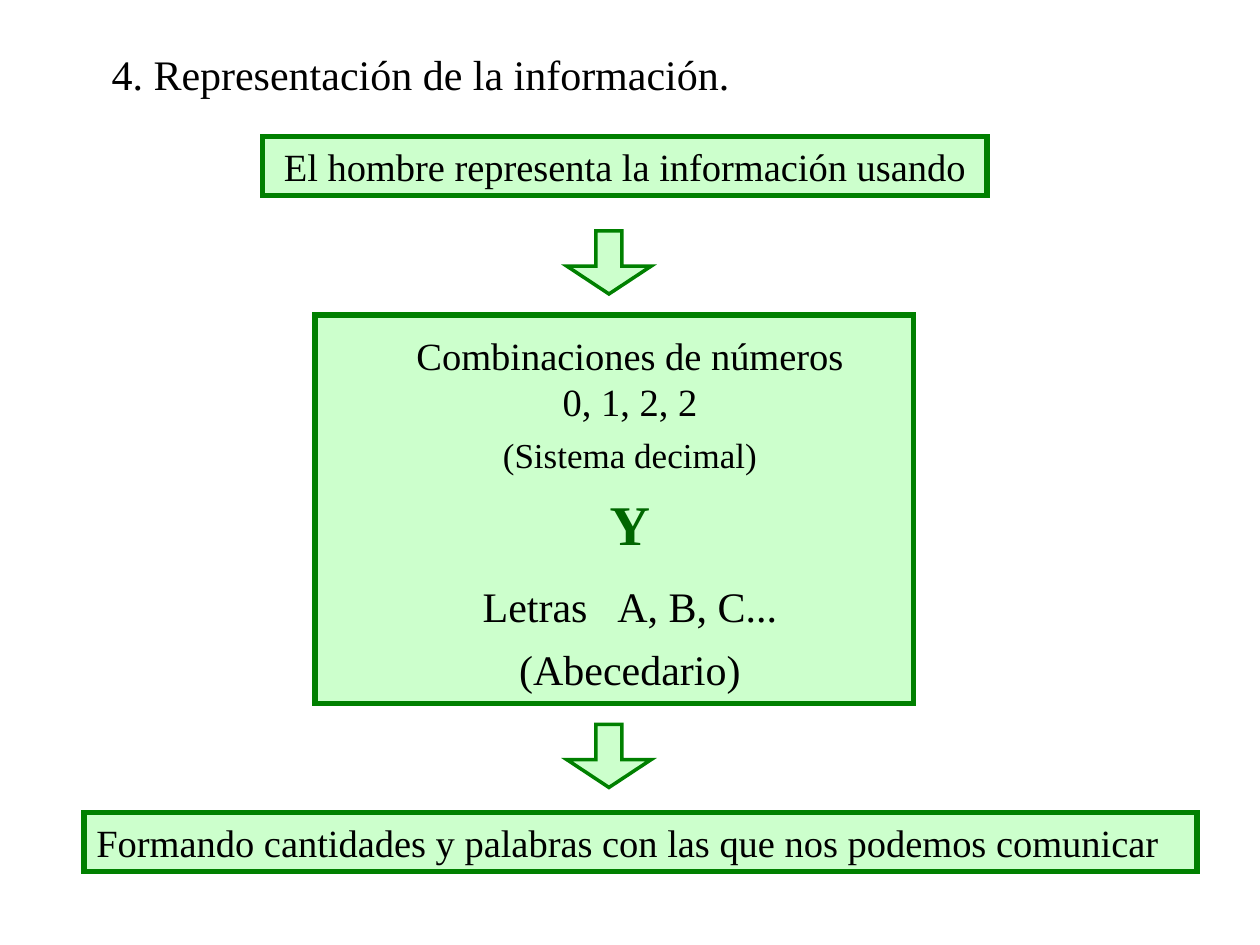
from lxml.etree import SubElement
from pptx import Presentation
from pptx.dml.color import RGBColor
from pptx.enum.shapes import MSO_SHAPE
from pptx.enum.text import MSO_ANCHOR, MSO_AUTO_SIZE, PP_ALIGN
from pptx.oxml.ns import qn
from pptx.util import Pt

COLORS = {"ink": "000000", "mint": "CCFFCC", "edge": "008000", "deep": "006600"}
FONT = "Times New Roman"
WIDE, HIGH = 720, 540


def color(name):
    return RGBColor.from_string(COLORS[name])


def write(shape, text, size=22, tint="ink", bold=False, align=PP_ALIGN.CENTER,
          gap=0):
    frame = shape.text_frame
    frame.word_wrap = True
    frame.auto_size = MSO_AUTO_SIZE.SHAPE_TO_FIT_TEXT
    frame.vertical_anchor = MSO_ANCHOR.TOP
    for i, line in enumerate(text.split("\n")):
        para = frame.add_paragraph() if i else frame.paragraphs[0]
        para.alignment = align
        for part in line.partition(" ") if gap else [line]:
            run = para.add_run()
            run.text = part
            run.font.name = FONT
            run.font.size = Pt(size)
            run.font.bold = bold
            run.font.color.rgb = color(tint)
            if part == " ":
                run.font._element.set("spc", str(gap * 100))


def label(slide, text, left, top, width, height, **style):
    box = slide.shapes.add_textbox(Pt(left), Pt(top), Pt(width), Pt(height))
    write(box, text, **style)


def block(slide, kind, left, top, width, height, line=3):
    shape = slide.shapes.add_shape(kind, Pt(left), Pt(top), Pt(width), Pt(height))
    shape.shadow.inherit = False
    shape.fill.solid()
    shape.fill.fore_color.rgb = color("mint")
    shape.line.color.rgb = color("edge")
    shape.line.width = Pt(line)
    SubElement(shape.line._get_or_add_ln(), qn("a:miter"), lim="800000")
    return shape


def arrow(slide, top):
    shape = block(slide, MSO_SHAPE.DOWN_ARROW, 324, top, 48, 36, line=2)
    shape.adjustments[0] = 0.31
    shape.adjustments[1] = 0.44


def main():
    deck = Presentation()
    deck.slide_width, deck.slide_height = Pt(WIDE), Pt(HIGH)
    slide = deck.slides.add_slide(deck.slide_layouts[6])
    rect = MSO_SHAPE.RECTANGLE

    block(slide, rect, 180, 180, 342, 222)
    label(slide, "4. Representación de la información.", 56.7, 24, 380, 36,
          size=24, align=PP_ALIGN.LEFT)
    write(block(slide, rect, 150, 78, 414, 33.7),
          "El hombre representa la información usando")
    for text, top, height, style in [
        ("Combinaciones de números\n0, 1, 2, 2", 186, 60.5, {}),
        ("(Sistema decimal)", 244, 31.5, {"size": 20}),
        ("Letras A, B, C...", 328, 36, {"size": 24, "gap": 11}),
        ("(Abecedario)", 364, 36, {"size": 24}),
        ("Y", 276, 46, {"size": 32, "tint": "deep", "bold": True}),
    ]:
        label(slide, text, 0, top, WIDE, height, **style)
    write(block(slide, rect, 48, 464.4, 636, 33.7),
          "Formando cantidades y palabras con las que nos podemos comunicar",
          align=PP_ALIGN.LEFT)
    for top in (414, 132):
        arrow(slide, top)

    deck.save("out.pptx")


if __name__ == "__main__":
    main()
